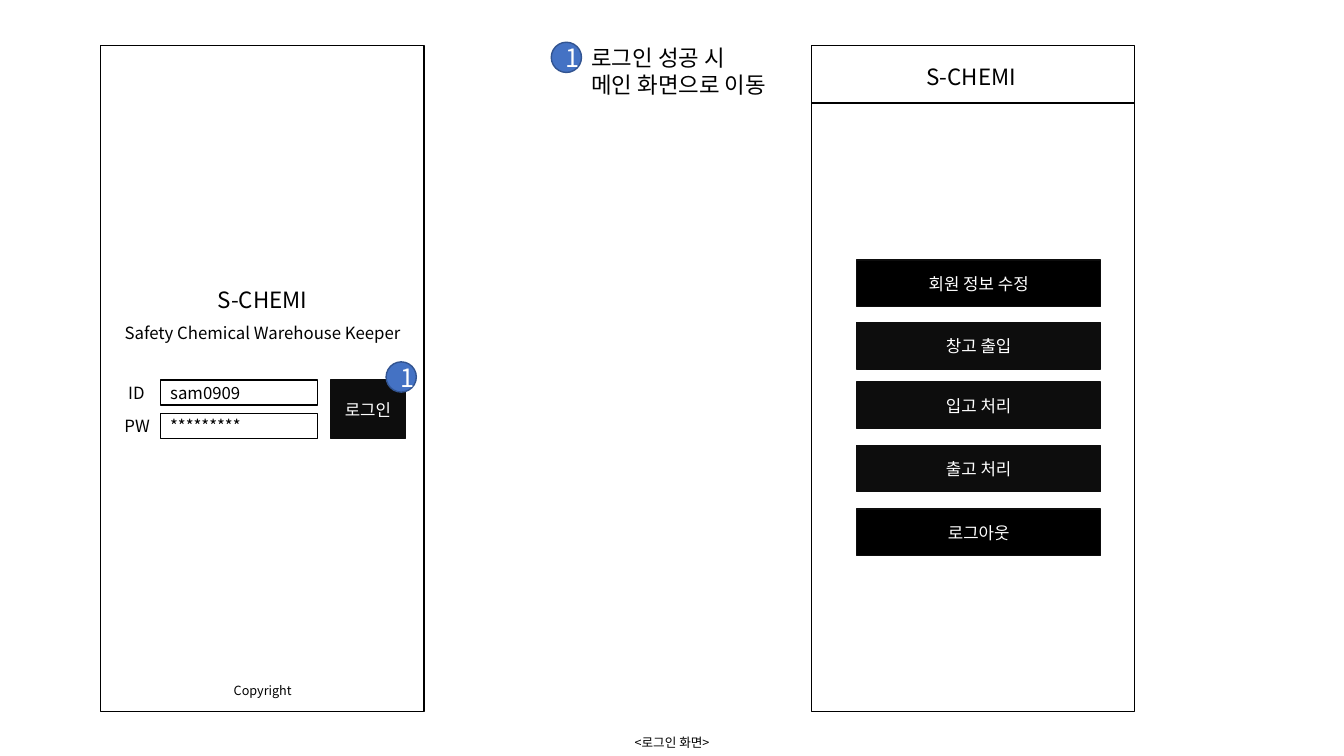
from dataclasses import dataclass

from lxml.etree import SubElement
from pptx import Presentation
from pptx.dml.color import RGBColor
from pptx.enum.shapes import MSO_CONNECTOR, MSO_SHAPE
from pptx.enum.text import MSO_ANCHOR, MSO_AUTO_SIZE, PP_ALIGN
from pptx.oxml.ns import qn
from pptx.util import Pt

FONT = "Noto Sans CJK KR"
LINE_HEIGHT = 1.22
BLACK, WHITE, CHARCOAL = "000000", "FFFFFF", "0D0D0D"
BLUE, DARK_BLUE = "4472C4", "325491"
SCREEN_TOP, SCREEN_WIDTH, SCREEN_HEIGHT = 32.4, 231, 476
LOGIN_LEFT, MAIN_LEFT = 72, 579.6
HEADER_BOTTOM = 73.5
BADGE_SIZE = 21.6


@dataclass(frozen=True)
class Box:
    left: float
    top: float
    width: float
    height: float

    def lengths(self) -> tuple:
        return Pt(self.left), Pt(self.top), Pt(self.width), Pt(self.height)


@dataclass(frozen=True)
class Label:
    text: str
    box: Box
    size: float = 12
    align: PP_ALIGN = PP_ALIGN.CENTER
    wrap: bool = True


@dataclass(frozen=True)
class MenuButton:
    text: str
    top: float
    fill: str = CHARCOAL


def color(value: str) -> RGBColor:
    return RGBColor.from_string(value)


def write(frame, text: str, *, size: float = 12, font_color: str = BLACK,
          align: PP_ALIGN = PP_ALIGN.CENTER, wrap: bool = True) -> None:
    frame.word_wrap = wrap
    for index, line in enumerate(text.split("\n")):
        paragraph = frame.paragraphs[0] if index == 0 else frame.add_paragraph()
        paragraph.alignment = align
        paragraph.line_spacing = Pt(round(size * LINE_HEIGHT, 2))
        run = paragraph.add_run()
        run.text = line
        run.font.size = Pt(size)
        run.font.name = FONT
        run.font.color.rgb = color(font_color)
        properties = run.font._element
        SubElement(properties, qn("a:ea"), typeface=FONT)


def add_label(slide, label: Label) -> None:
    shape = slide.shapes.add_textbox(*label.box.lengths())
    write(shape.text_frame, label.text, size=label.size, align=label.align, wrap=label.wrap)
    shape.text_frame.auto_size = MSO_AUTO_SIZE.SHAPE_TO_FIT_TEXT


def add_block(slide, box: Box, text: str = "", *, kind: MSO_SHAPE = MSO_SHAPE.RECTANGLE,
              fill: str = "", line: str = BLACK, **text_format) -> None:
    shape = slide.shapes.add_shape(kind, *box.lengths())
    shape.shadow.inherit = False
    if fill:
        shape.fill.solid()
        shape.fill.fore_color.rgb = color(fill)
    else:
        shape.fill.background()
    shape.line.color.rgb = color(line)
    shape.line.width = Pt(1)
    if text:
        shape.text_frame.vertical_anchor = MSO_ANCHOR.MIDDLE
        write(shape.text_frame, text, **text_format)


def add_screen(slide, left: float) -> None:
    add_block(slide, Box(left, SCREEN_TOP, SCREEN_WIDTH, SCREEN_HEIGHT))


def add_badge(slide, left: float, top: float) -> None:
    add_block(slide, Box(left, top, BADGE_SIZE, BADGE_SIZE), "1", kind=MSO_SHAPE.OVAL,
              fill=BLUE, line=DARK_BLUE, size=18, font_color=WHITE)


def add_button(slide, box: Box, text: str, fill: str = CHARCOAL) -> None:
    add_block(slide, box, text, fill=fill, line=CHARCOAL, font_color=WHITE)


def add_header_line(slide) -> None:
    connector = slide.shapes.add_connector(
        MSO_CONNECTOR.STRAIGHT, Pt(MAIN_LEFT), Pt(HEADER_BOTTOM),
        Pt(MAIN_LEFT + SCREEN_WIDTH), Pt(HEADER_BOTTOM))
    connector.line.color.rgb = color(BLACK)
    connector.line.width = Pt(1)
    SubElement(connector._element.spPr, qn("a:effectLst"))


LABELS = [
    Label("S-CHEMI", Box(131, 200.2, 113, 26.6), 16),
    Label("Safety Chemical Warehouse Keeper", Box(49, 226.8, 277.2, 21.6)),
    Label("Copyright", Box(49, 483.8, 277.2, 18), 9),
    Label("ID", Box(84.2, 269.3, 26.6, 21.6), wrap=False),
    Label("PW", Box(81.4, 293, 33.1, 21.6), wrap=False),
    Label("S-CHEMI", Box(637.2, 41, 113, 26.6), 16),
    Label("로그인 성공 시\n메인 화면으로 이동", Box(415.4, 27.4, 176.4, 46), 16, PP_ALIGN.LEFT),
    Label("<로그인 화면>", Box(0, 521.3, 960, 18), 9),
]

MENU = [
    MenuButton("회원 정보 수정", 185.8, BLACK),
    MenuButton("창고 출입", 230.4),
    MenuButton("입고 처리", 272.9),
    MenuButton("출고 처리", 318.2),
    MenuButton("로그아웃", 363.6, BLACK),
]

FIELDS = {"sam0909": 271.4, "*********": 295.2}

presentation = Presentation()
presentation.slide_width, presentation.slide_height = Pt(960), Pt(540)
slide = presentation.slides.add_slide(presentation.slide_layouts[6])

for screen_left in (LOGIN_LEFT, MAIN_LEFT):
    add_screen(slide, screen_left)
add_header_line(slide)
for label in LABELS:
    add_label(slide, label)
for value, field_top in FIELDS.items():
    add_block(slide, Box(114.5, field_top, 112.3, 18), value, align=PP_ALIGN.LEFT)
add_button(slide, Box(236.2, 271.4, 53.3, 41.8), "로그인")
for button in MENU:
    add_button(slide, Box(612, button.top, 174.2, 33.1), button.text, button.fill)
add_badge(slide, 275.8, 258.5)
add_badge(slide, 393.8, 30.2)

presentation.save("out.pptx")
